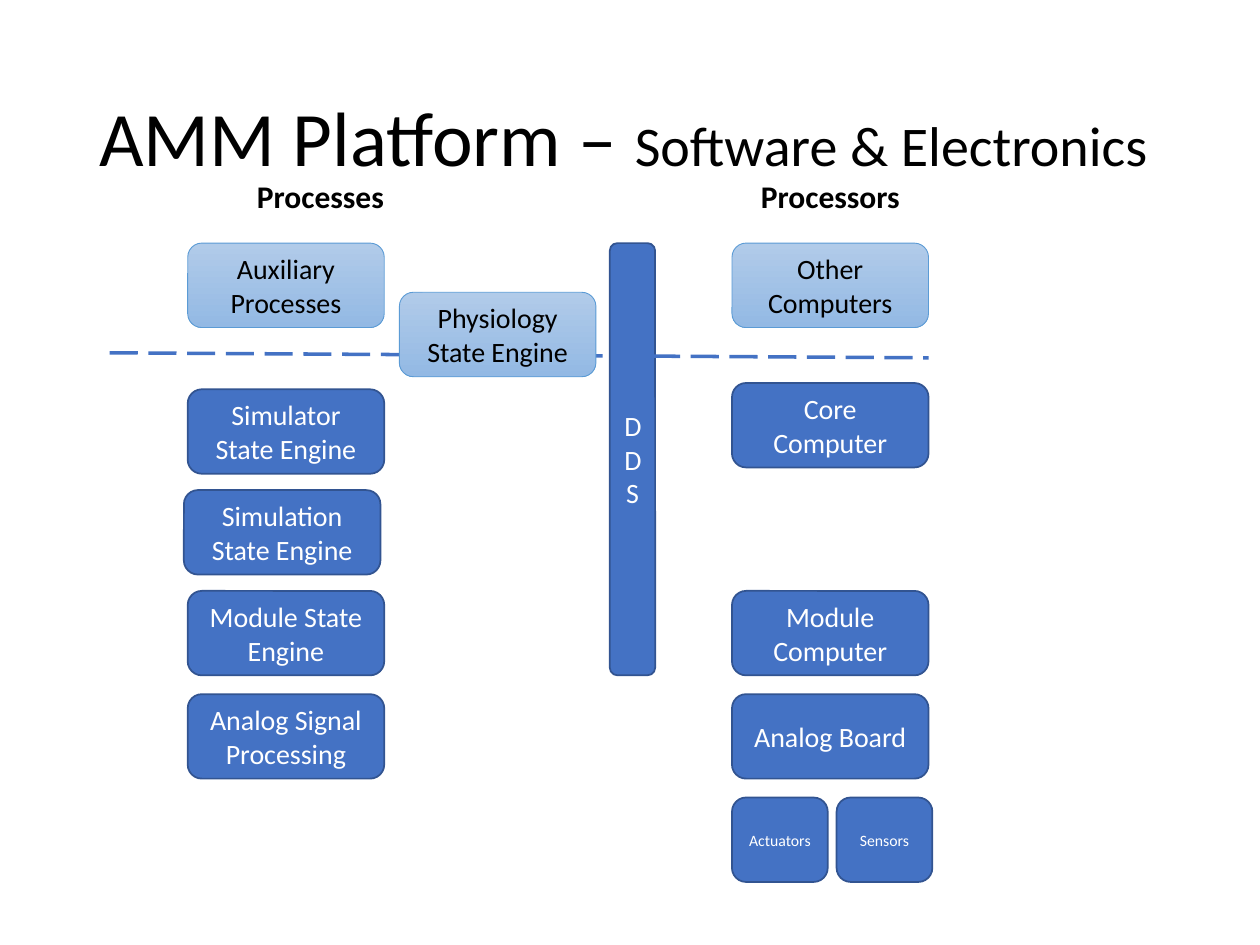
from dataclasses import dataclass

from lxml import etree
from pptx import Presentation
from pptx.dml.color import RGBColor
from pptx.enum.dml import MSO_LINE
from pptx.enum.shapes import MSO_CONNECTOR, MSO_SHAPE
from pptx.enum.text import MSO_ANCHOR, PP_ALIGN
from pptx.oxml.ns import qn
from pptx.util import Inches, Pt

ROUNDED = MSO_SHAPE.ROUNDED_RECTANGLE
STRAIGHT = MSO_CONNECTOR.STRAIGHT
LONG_DASH = MSO_LINE.LONG_DASH
MIDDLE, TOP = MSO_ANCHOR.MIDDLE, MSO_ANCHOR.TOP
CENTER, LEFT = PP_ALIGN.CENTER, PP_ALIGN.LEFT

COLS, ROWS = 100, 75
BOX_W, BOX_H = 15.6, 6.7
PROCESS_X, PROCESSOR_X = 14.9, 58.1
TOP_Y, MODULE_Y, ANALOG_Y, DEVICE_Y = 19.3, 46.9, 55.1, 63.3


@dataclass(frozen=True)
class Theme:
    font: str = "Calibri"
    black: str = "000000"
    white: str = "FFFFFF"
    blue: str = "4472C4"
    edge: str = "325491"
    light_edge: str = "5B9BD5"
    light: tuple = ("B1CBE9", "93B9E4")
    title: int = 44
    subtitle: int = 32
    heading: int = 18
    body: int = 16
    small: int = 9


def add_run(p, text, *, font, size, color, bold=False):
    r = p.add_run()
    r.text = text
    r.font.name = font
    r.font.size = Pt(size)
    r.font.bold = bold
    r.font.color.rgb = RGBColor.from_string(color)


class Deck:
    def __init__(self, theme):
        self.theme = theme
        self.prs = Presentation()
        self.prs.slide_width, self.prs.slide_height = Inches(10), Inches(7.5)
        self.s = self.prs.slides.add_slide(self.prs.slide_layouts[6])

    def x(self, cols):
        return round(self.prs.slide_width * cols / COLS)

    def y(self, rows):
        return round(self.prs.slide_height * rows / ROWS)

    def area(self, x, y, w, h):
        return self.x(x), self.y(y), self.x(w), self.y(h)

    def text(self, x, y, w, h, parts, *, bold=False, wrap=True, anchor=TOP, spacing=1.0):
        tf = self.s.shapes.add_textbox(*self.area(x, y, w, h)).text_frame
        tf.word_wrap = wrap
        tf.vertical_anchor = anchor
        p = tf.paragraphs[0]
        p.alignment = LEFT
        p.line_spacing = spacing
        for text, size in parts:
            add_run(p, text, font=self.theme.font, size=size, color=self.theme.black, bold=bold)

    def box(self, x, y, text, *, w=BOX_W, h=BOX_H, size=None, light=False, stacked=False):
        t = self.theme
        sp = self.s.shapes.add_shape(ROUNDED, *self.area(x, y, w, h))
        sp.shadow.inherit = False
        if light:
            sp.fill.gradient()
            sp.fill.gradient_angle = 270
            for stop, color in zip(sp.fill.gradient_stops, t.light):
                stop.color.rgb = RGBColor.from_string(color)
        else:
            sp.fill.solid()
            sp.fill.fore_color.rgb = RGBColor.from_string(t.blue)
        sp.line.color.rgb = RGBColor.from_string(t.light_edge if light else t.edge)
        sp.line.width = Pt(0.5 if light else 1)
        tf = sp.text_frame
        tf.word_wrap = True
        tf.vertical_anchor = MIDDLE
        if stacked:
            tf._txBody.bodyPr.set("vert", "wordArtVert")
        p = tf.paragraphs[0]
        p.alignment = CENTER
        add_run(p, text, font=t.font, size=size or t.body, color=t.black if light else t.white)

    def dashed_line(self, x1, y1, x2, y2):
        line = self.s.shapes.add_connector(STRAIGHT, self.x(x1), self.y(y1), self.x(x2), self.y(y2))
        line.line.color.rgb = RGBColor.from_string(self.theme.blue)
        line.line.width = Pt(2)
        line.line.dash_style = LONG_DASH
        etree.SubElement(line._element.spPr, qn("a:effectLst"))


def main():
    t = Theme()
    d = Deck(t)
    d.text(6.9, 4, 86.2, 14.5, [("AMM Platform – ", t.title), ("Software & Electronics", t.subtitle)],
           anchor=MIDDLE, spacing=0.9)
    for x, w, heading in ((19.4, 12.2, "Processes"), (59.4, 13.1, "Processors")):
        d.text(x, 13.6, w, 4, [(heading, t.heading)], bold=True, wrap=False)

    for x, y, text in (
        (PROCESS_X, 30.9, "Simulator State Engine"),
        (PROCESS_X - 0.3, 38.9, "Simulation State Engine"),
        (PROCESS_X, MODULE_Y, "Module State Engine"),
        (PROCESS_X, ANALOG_Y, "Analog Signal Processing"),
        (PROCESSOR_X, 30.4, "Core Computer"),
        (PROCESSOR_X, MODULE_Y, "Module Computer"),
        (PROCESSOR_X, ANALOG_Y, "Analog Board"),
    ):
        d.box(x, y, text)
    for i, text in enumerate(("Actuators", "Sensors")):
        d.box(PROCESSOR_X + 8.3 * i, DEVICE_Y, text, w=7.6, size=t.small)

    d.box(48.4, TOP_Y, "DDS", w=3.6, h=MODULE_Y + BOX_H - TOP_Y, stacked=True)
    d.dashed_line(8.7, 28, PROCESSOR_X + BOX_W, 28.4)
    for x, y, text in (
        (PROCESS_X, TOP_Y, "Auxiliary Processes"),
        (PROCESSOR_X, TOP_Y, "Other Computers"),
        (31.7, 23.2, "Physiology State Engine"),
    ):
        d.box(x, y, text, light=True)
    d.prs.save("out.pptx")


if __name__ == "__main__":
    main()
